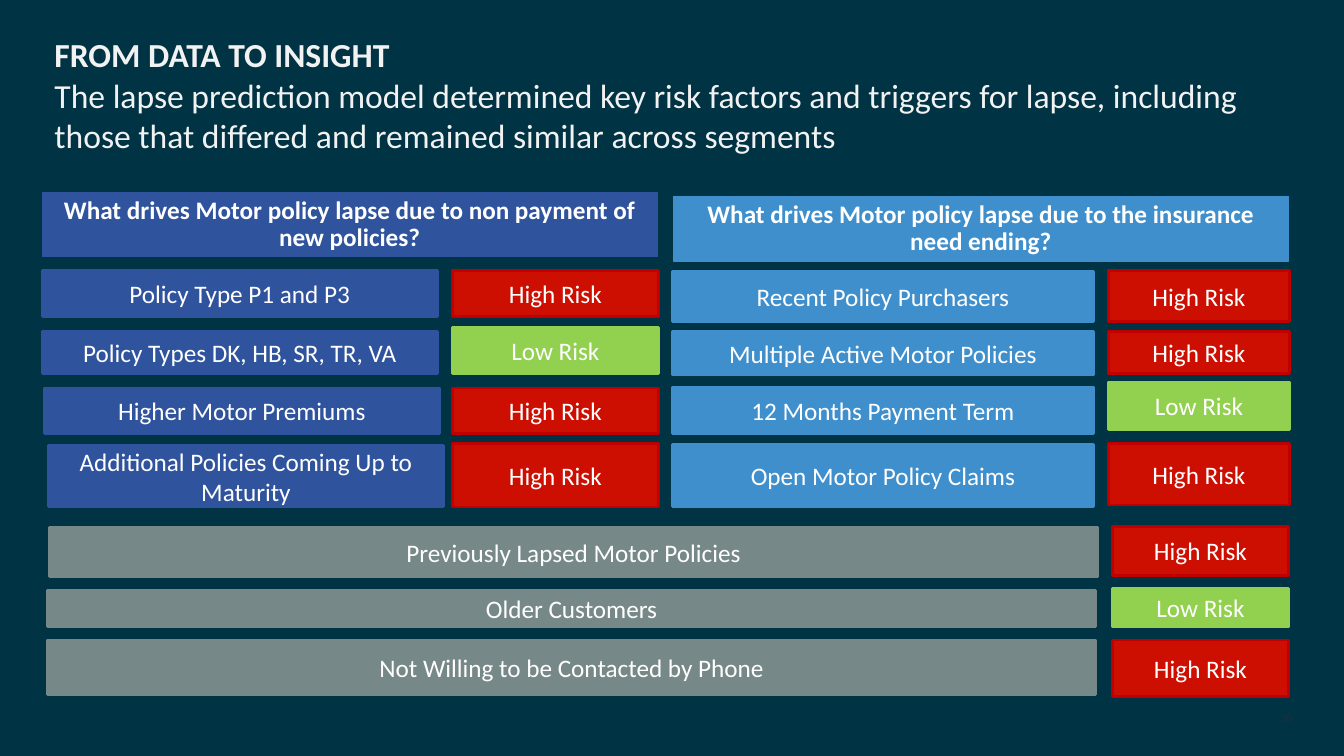
from pptx import Presentation
from pptx.dml.color import RGBColor
from pptx.enum.shapes import MSO_SHAPE
from pptx.enum.text import MSO_ANCHOR, MSO_AUTO_SIZE, PP_ALIGN
from pptx.util import Pt

RECTANGLE = MSO_SHAPE.RECTANGLE
TOP, MIDDLE = MSO_ANCHOR.TOP, MSO_ANCHOR.MIDDLE
LEFT, CENTER, RIGHT = PP_ALIGN.LEFT, PP_ALIGN.CENTER, PP_ALIGN.RIGHT
NO_AUTOFIT = MSO_AUTO_SIZE.NONE

NAVY = RGBColor(0x00, 0x33, 0x44)
INDIGO = RGBColor(0x2F, 0x53, 0x9C)
BLUE = RGBColor(0x40, 0x8F, 0xCD)
GRAY = RGBColor(0x77, 0x88, 0x88)
RED = RGBColor(0xCC, 0x0F, 0x00)
DARK_RED = RGBColor(0xC0, 0x00, 0x00)
GREEN = RGBColor(0x92, 0xD0, 0x50)
WHITE = RGBColor(0xFF, 0xFF, 0xFF)
OFF_WHITE = RGBColor(0xF2, 0xF2, 0xF2)
SLATE = RGBColor(0x22, 0x2F, 0x3F)
FONT = "Calibri"

TITLE = [
    ("FROM DATA TO INSIGHT", True),
    ("The lapse prediction model determined key risk factors and triggers for lapse, "
     "including those that differed and remained similar across segments", False),
]
PAGE_NUMBER = "30"
HEADERS = [
    ("What drives Motor policy lapse due to non payment of new policies?",
     30.2, 137.5, INDIGO),
    ("What drives Motor policy lapse due to the insurance need ending?",
     481, 140.4, BLUE),
]
HEADER_WIDTH, HEADER_HEIGHT = 439.2, 46.1

RISKS = {"High Risk": (RED, DARK_RED), "Low Risk": (GREEN, GREEN)}

# Each row: driver, its left, top and height; risk, its top and height
GROUPS = [
    {"color": INDIGO, "driver_width": 282.2, "risk_left": 323.3, "risk_width": 146.9, "rows": [
        ("Policy Type P1 and P3", 30.2, 193, 33.1, "High Risk", 193, 33.1),
        ("Policy Types DK, HB, SR, TR, VA", 30.2, 236.9, 30.2, "Low Risk", 234, 33.1),
        ("Higher Motor Premiums", 31.7, 277.2, 32.4, "High Risk", 277.2, 32.4),
        ("Additional Policies Coming Up to Maturity", 34.6, 318.2, 43.9, "High Risk", 316.8, 45.4),
    ]},
    {"color": BLUE, "driver_width": 301, "risk_left": 792, "risk_width": 128.9, "rows": [
        ("Recent Policy Purchasers", 480.2, 193.7, 36, "High Risk", 193, 36.7),
        ("Multiple Active Motor Policies", 480.2, 236.9, 31, "High Risk", 236.9, 30.2),
        ("12 Months Payment Term", 480.2, 276.5, 33.1, "Low Risk", 272.9, 33.8),
        ("Open Motor Policy Claims", 480.2, 317.5, 44.6, "High Risk", 316.8, 43.9),
    ]},
    {"color": GRAY, "driver_width": 749, "risk_left": 794.9, "risk_width": 125.3, "rows": [
        ("Previously Lapsed Motor Policies", 35.3, 376.6, 35.3, "High Risk", 375.8, 35.3),
        ("Older Customers", 33.8, 421.9, 25.9, "Low Risk", 420.5, 27.4),
        ("Not Willing to be Contacted by Phone", 33.8, 457.2, 38.9, "High Risk", 457.2, 40.3),
    ]},
]


def add_run(paragraph, text, size, color, bold=False):
    run = paragraph.add_run()
    run.text = text
    run.font.name = FONT
    run.font.size = Pt(size)
    run.font.bold = bold
    run.font.color.rgb = color


def add_box(slide, bounds, text, fill, line, line_width=2, bold=False):
    """Add a filled rectangle with centred text and return its shape."""
    shape = slide.shapes.add_shape(RECTANGLE, *map(Pt, bounds))
    shape.shadow.inherit = False
    shape.fill.solid()
    shape.fill.fore_color.rgb = fill
    shape.line.color.rgb = line
    shape.line.width = Pt(line_width)
    frame = shape.text_frame
    frame.word_wrap = True
    frame.vertical_anchor = MIDDLE
    paragraph = frame.paragraphs[0]
    paragraph.alignment = CENTER
    add_run(paragraph, text, 18, WHITE, bold)
    return shape


def add_title(slide):
    title = slide.shapes.title
    title.left, title.top, title.width, title.height = map(Pt, (31.7, 20.9, 916.6, 94.3))
    frame = title.text_frame
    frame.word_wrap = True
    frame.auto_size = NO_AUTOFIT
    frame.vertical_anchor = TOP
    for index, (text, bold) in enumerate(TITLE):
        paragraph = frame.add_paragraph() if index else frame.paragraphs[0]
        paragraph.alignment = LEFT
        add_run(paragraph, text, 24, OFF_WHITE, bold)


def add_header(slide, text, left, top, color):
    shape = add_box(slide, (left, top, HEADER_WIDTH, HEADER_HEIGHT),
                    text, color, color, 0.75, True)
    frame = shape.text_frame
    frame.margin_top = frame.margin_bottom = Pt(7.2)
    frame.paragraphs[0].line_spacing = 0.9


def add_group(slide, group):
    color = group["color"]
    for driver, left, top, height, risk, risk_top, risk_height in group["rows"]:
        add_box(slide, (left, top, group["driver_width"], height), driver, color, color)
        add_box(slide, (group["risk_left"], risk_top, group["risk_width"], risk_height),
                risk, *RISKS[risk])


def add_page_number(slide):
    frame = slide.shapes.add_textbox(Pt(880), Pt(504), Pt(50), Pt(18)).text_frame
    frame.word_wrap = True
    frame.vertical_anchor = MIDDLE
    paragraph = frame.paragraphs[0]
    paragraph.alignment = RIGHT
    add_run(paragraph, PAGE_NUMBER, 8, SLATE)


def main():
    presentation = Presentation()
    presentation.slide_width, presentation.slide_height = Pt(960), Pt(540)
    slide = presentation.slides.add_slide(presentation.slide_layouts[5])
    slide.background.fill.solid()
    slide.background.fill.fore_color.rgb = NAVY
    add_title(slide)
    for header in HEADERS:
        add_header(slide, *header)
    for group in GROUPS:
        add_group(slide, group)
    add_page_number(slide)
    presentation.save("out.pptx")


if __name__ == "__main__":
    main()
